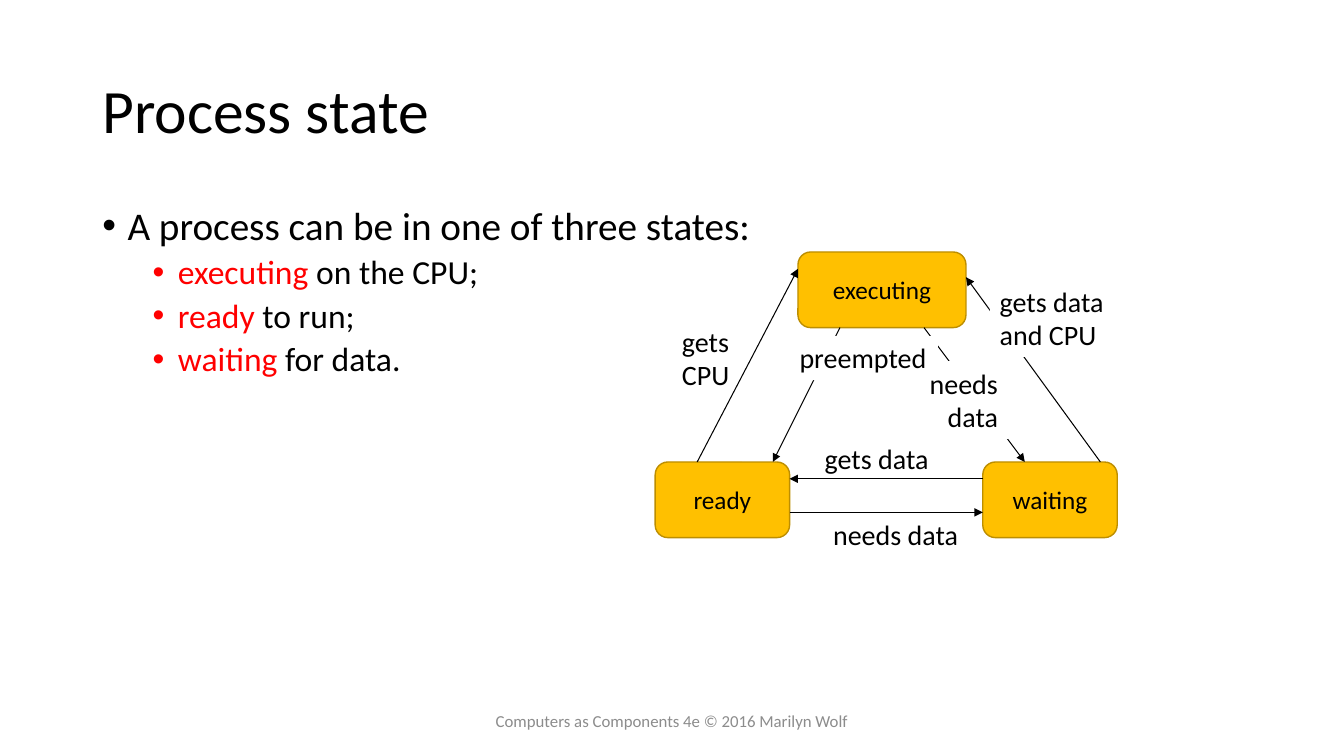
from lxml.etree import SubElement
from pptx import Presentation
from pptx.dml.color import RGBColor
from pptx.enum.shapes import MSO_CONNECTOR, MSO_SHAPE
from pptx.enum.text import MSO_ANCHOR, MSO_AUTO_SIZE, PP_ALIGN
from pptx.oxml.ns import qn
from pptx.util import Pt

BLACK = RGBColor(0x00, 0x00, 0x00)
WHITE = RGBColor(0xFF, 0xFF, 0xFF)
RED = RGBColor(0xFF, 0x00, 0x00)
GOLD = RGBColor(0xFF, 0xC0, 0x00)
DARK_GOLD = RGBColor(0xBD, 0x8E, 0x00)
GRAY = RGBColor(0x8C, 0x8C, 0x8C)
FONT = "Calibri"

TITLE = "Process state"
FOOTER = "Computers as Components 4e © 2016 Marilyn Wolf"
BULLETS = [
    (0, [("A process can be in one of three states:", BLACK)]),
    (1, [("executing", RED), (" on the CPU;", BLACK)]),
    (1, [("ready", RED), (" to run;", BLACK)]),
    (1, [("waiting", RED), (" for data.", BLACK)]),
]
BULLET_LEVELS = [
    {"size": 28, "left": 18, "before": 10},
    {"size": 24, "left": 54, "before": 5},
]
HANGING = 18

STATE_HEIGHT = 54
STATES = {
    "executing": (570, 180, 120),
    "ready": (468, 330, 96),
    "waiting": (702, 330, 96),
}
TRANSITIONS = [
    (("executing", 30, 54), ("ready", 84, 0)),
    (("ready", 30, 0), ("executing", 0, 12)),
    (("ready", 96, 36), ("waiting", 0, 36)),
    (("waiting", 0, 12), ("ready", 96, 12)),
    (("executing", 90, 54), ("waiting", 30, 0)),
    (("waiting", 84, 0), ("executing", 120, 18)),
]
LABELS = [
    (["gets data", "and CPU"], (707, 199.5, 89.5, 55.5), PP_ALIGN.LEFT, WHITE),
    (["needs", "data"], (656, 258, 64, 55.5), PP_ALIGN.RIGHT, WHITE),
    (["gets data"], (582, 312, 89.5, 31.5), PP_ALIGN.LEFT, None),
    (["needs data"], (588, 366, 105, 31.5), PP_ALIGN.LEFT, None),
    (["preempted"], (564, 240, 106, 31.5), PP_ALIGN.LEFT, WHITE),
    (["gets", "CPU"], (480, 228, 49, 55.5), PP_ALIGN.LEFT, None),
]


def add_run(paragraph, text, size, color):
    run = paragraph.add_run()
    run.text = text
    run.font.name = FONT
    run.font.size = Pt(size)
    run.font.color.rgb = color


def paragraph_at(frame, index):
    return frame.add_paragraph() if index else frame.paragraphs[0]


def add_text_box(slide, box):
    shape = slide.shapes.add_textbox(*map(Pt, box))
    shape.text_frame.word_wrap = True
    return shape


def add_title(slide):
    title = slide.shapes.title
    title.left, title.top, title.width, title.height = map(Pt, (66, 28.8, 828, 104.4))
    title.text_frame.vertical_anchor = MSO_ANCHOR.MIDDLE
    paragraph = title.text_frame.paragraphs[0]
    paragraph.alignment = PP_ALIGN.LEFT
    paragraph.line_spacing = 0.9
    add_run(paragraph, TITLE, 44, BLACK)


def add_bullets(slide):
    frame = add_text_box(slide, (66, 144, 480, 342)).text_frame
    for index, (level, parts) in enumerate(BULLETS):
        style = BULLET_LEVELS[level]
        paragraph = paragraph_at(frame, index)
        properties = paragraph._p.get_or_add_pPr()
        properties.set("marL", str(Pt(style["left"])))
        properties.set("indent", str(-Pt(HANGING)))
        SubElement(properties, qn("a:buFont"), typeface="Arial")
        SubElement(properties, qn("a:buChar"), char="•")
        paragraph.level = level
        paragraph.line_spacing = 0.9
        if index:
            paragraph.space_before = Pt(style["before"])
        for text, color in parts:
            add_run(paragraph, text, style["size"], color)


def add_state(slide, name, left, top, width):
    shape = slide.shapes.add_shape(
        MSO_SHAPE.ROUNDED_RECTANGLE, Pt(left), Pt(top), Pt(width), Pt(STATE_HEIGHT))
    shape.shadow.inherit = False
    shape.fill.solid()
    shape.fill.fore_color.rgb = GOLD
    shape.line.color.rgb = DARK_GOLD
    shape.line.width = Pt(1)
    frame = shape.text_frame
    frame.word_wrap = False
    frame.vertical_anchor = MSO_ANCHOR.MIDDLE
    frame.paragraphs[0].alignment = PP_ALIGN.CENTER
    add_run(frame.paragraphs[0], name, 18, BLACK)


def state_point(name, across, down):
    left, top, _ = STATES[name]
    return Pt(left + across), Pt(top + down)


def add_transition(slide, start, end):
    connector = slide.shapes.add_connector(
        MSO_CONNECTOR.STRAIGHT, *state_point(*start), *state_point(*end))
    connector.line.color.rgb = BLACK
    connector.line.width = Pt(0.75)
    SubElement(connector.line._get_or_add_ln(), qn("a:tailEnd"), type="triangle")
    SubElement(connector._element.spPr, qn("a:effectLst"))


def add_label(slide, lines, box, alignment, fill):
    shape = add_text_box(slide, box)
    if fill is not None:
        shape.fill.solid()
        shape.fill.fore_color.rgb = fill
    frame = shape.text_frame
    frame.word_wrap = False
    frame.auto_size = MSO_AUTO_SIZE.SHAPE_TO_FIT_TEXT
    for index, line in enumerate(lines):
        paragraph = paragraph_at(frame, index)
        paragraph.alignment = alignment
        add_run(paragraph, line, 20, BLACK)


def add_footer(slide):
    frame = add_text_box(slide, (318, 500.5, 324, 28.75)).text_frame
    frame.vertical_anchor = MSO_ANCHOR.MIDDLE
    frame.paragraphs[0].alignment = PP_ALIGN.CENTER
    add_run(frame.paragraphs[0], FOOTER, 12, GRAY)


def main():
    presentation = Presentation()
    presentation.slide_width = Pt(960)
    presentation.slide_height = Pt(540)
    slide = presentation.slides.add_slide(presentation.slide_layouts[5])
    add_title(slide)
    add_bullets(slide)
    for name, box in STATES.items():
        add_state(slide, name, *box)
    for start, end in TRANSITIONS:
        add_transition(slide, start, end)
    for label in LABELS:
        add_label(slide, *label)
    add_footer(slide)
    presentation.save("out.pptx")


if __name__ == "__main__":
    main()
